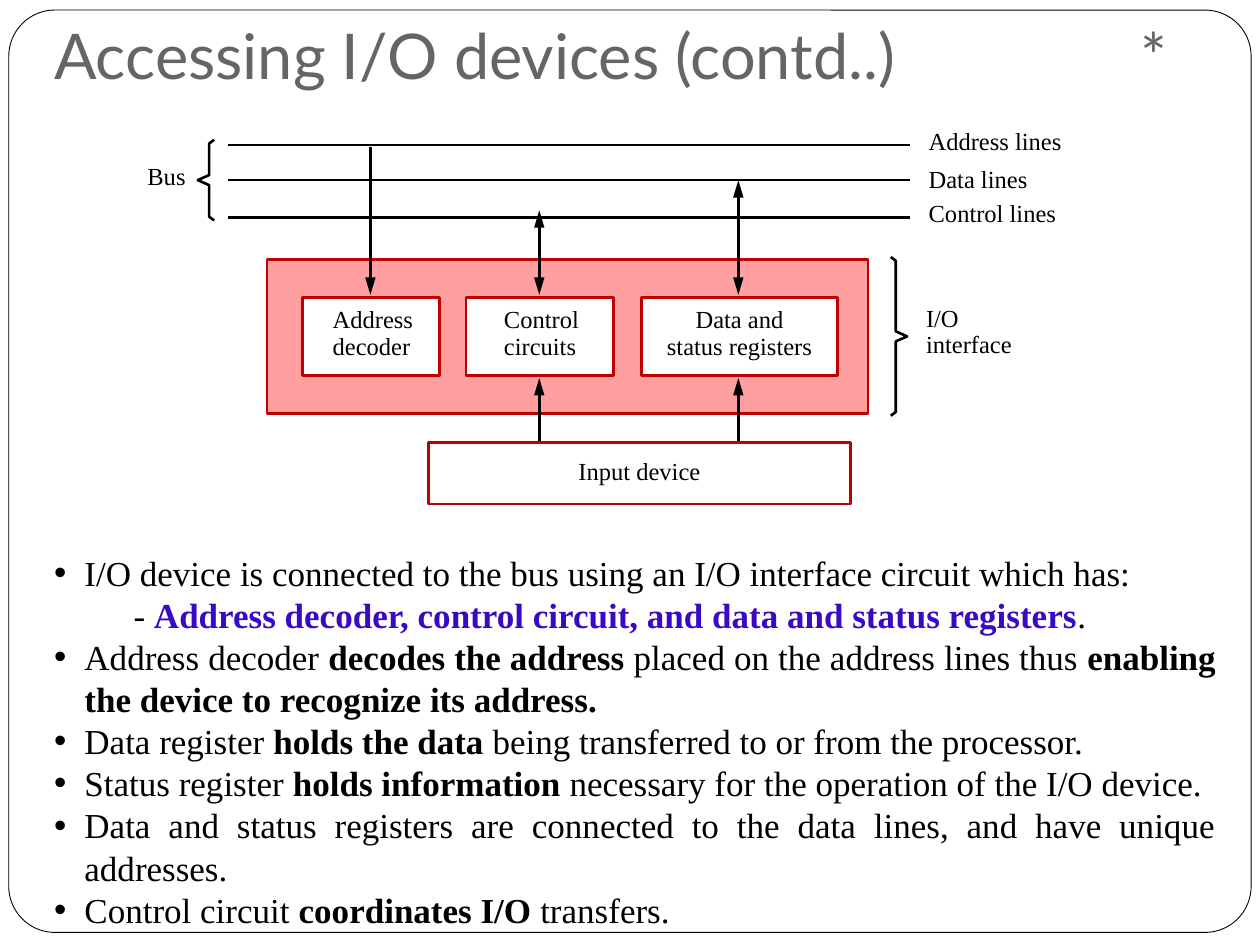
from lxml import etree
from pptx import Presentation
from pptx.dml.color import RGBColor
from pptx.enum import shapes, text
from pptx.oxml import ns
from pptx.util import Inches, Pt

BLACK = RGBColor(0x00, 0x00, 0x00)
WHITE = RGBColor(0xFF, 0xFF, 0xFF)
GRAY = RGBColor(0x69, 0x64, 0x64)
RED = RGBColor(0xC0, 0x00, 0x00)
PINK = RGBColor(0xFF, 0x9F, 0x9F)
VIOLET = RGBColor(0x3A, 0x09, 0xC5)
SERIF = "Times New Roman"
LEFT, CENTER, JUSTIFY = (text.PP_ALIGN.LEFT, text.PP_ALIGN.CENTER,
                         text.PP_ALIGN.JUSTIFY)

# Content: a run is plain text or (text, format)
BOLD = {"bold": True}
TITLE = "Accessing I/O devices (contd..)\t*"
POINTS = [  # (bulleted, runs)
    (True, ["I/O device is connected to the bus using an I/O interface circuit which has:"]),
    (False, ["- ", ("Address decoder, control circuit, and data and status registers",
                    {"bold": True, "color": VIOLET}), "."]),
    (True, ["Address decoder ", ("decodes the address ", BOLD),
            "placed on the address lines thus ",
            ("enabling the device to recognize its address.", BOLD)]),
    (True, ["Data register ", ("holds the data ", BOLD),
            "being transferred to or from the processor."]),
    (True, ["Status register ", ("holds information ", BOLD),
            "necessary for the operation of the I/O device."]),
    (True, ["Data and status registers are connected to the data lines, "
            "and have unique addresses."]),
    (True, ["Control circuit ", ("coordinates I/O ", BOLD), "transfers."]),
]

# Diagram, in inches
BUS_LEFT, BUS_RIGHT = 1.81, 7.22
BUS_Y = [1.15, 1.43, 1.725]
INTERFACE = (2.12, 2.06, 4.77, 1.22)
BLOCK_TOP, BLOCK_HEIGHT = 2.36, 0.62
BLOCKS = [  # left, width, lines, alignment, left inset
    (2.4, 1.09, ["Address", "decoder"], LEFT, 0.24),
    (3.7, 1.17, ["Control", "circuits"], LEFT, 0.3),
    (5.09, 1.56, ["Data and", "status registers"], CENTER, 0),
]
INPUT_DEVICE = (3.4, 3.51, 3.35, 0.49)
ARROWS = [  # x, start, end, both ends
    (2.94, 1.17, 2.34, False),
    (4.28, 1.67, 2.34, True),
    (5.86, 1.43, 2.34, True),
    (4.28, 3.52, 3.0, False),
    (5.86, 3.52, 3.0, False),
]
BRACES = [  # tail x, spine x, tip x, top, bottom
    (1.7, 1.66, 1.57, 1.11, 1.75),
    (7.07, 7.11, 7.2, 2.04, 3.3),
]
LABELS = [  # left, top, width, lines
    (1.17, 1.28, 0.3, ["Bus"]),
    (7.37, 1.0, 1.06, ["Address lines"]),
    (7.37, 1.3, 0.79, ["Data lines"]),
    (7.37, 1.57, 1.01, ["Control lines"]),
    (7.35, 2.43, 0.67, ["I/O", "interface"]),
]


def add_xml(parent, tag, **attributes):
    return etree.SubElement(parent, ns.qn(tag), attributes)


def write(frame, paragraphs, font=SERIF, size=14, color=BLACK, align=LEFT,
          anchor=text.MSO_ANCHOR.TOP, insets=(0, 0, 0, 0), spacing=None, wrap=True):
    frame.word_wrap = wrap
    frame.auto_size = text.MSO_AUTO_SIZE.NONE
    frame.vertical_anchor = anchor
    (frame.margin_left, frame.margin_top,
     frame.margin_right, frame.margin_bottom) = map(Inches, insets)
    for i, runs in enumerate(paragraphs):
        paragraph = frame.add_paragraph() if i else frame.paragraphs[0]
        paragraph.alignment = align
        paragraph.space_before = Pt(0)
        if spacing:
            paragraph.line_spacing = Pt(spacing)
        for item in [runs] if isinstance(runs, str) else runs:
            words, style = (item, {}) if isinstance(item, str) else item
            run = paragraph.add_run()
            run.text = words
            run.font.name, run.font.size = font, Pt(size)
            run.font.bold = style.get("bold", False)
            run.font.color.rgb = style.get("color", color)


def add_box(box, fill, line, width, kind=shapes.MSO_SHAPE.RECTANGLE):
    shape = slide.shapes.add_shape(kind, *map(Inches, box))
    shape.shadow.inherit = False
    shape.fill.solid()
    shape.fill.fore_color.rgb = fill
    shape.line.color.rgb = line
    shape.line.width = Pt(width)
    return shape


def add_line(x1, y1, x2, y2, heads=()):
    line = slide.shapes.add_connector(shapes.MSO_CONNECTOR.STRAIGHT,
                                      *map(Inches, (x1, y1, x2, y2)))
    line.line.color.rgb = BLACK
    line.line.width = Pt(1.5)
    outline = line.line._get_or_add_ln()
    for end in heads:
        add_xml(outline, end, type="triangle", w="med", len="lg")
    add_xml(line.element.spPr, "a:effectLst")


def add_brace(tail, spine, tip, top, bottom):
    middle = (top + bottom) / 2
    points = [(tail, top), (spine, top + 0.03), (spine, middle - 0.04), (tip, middle),
              (spine, middle + 0.04), (spine, bottom - 0.03), (tail, bottom)]
    start, *rest = [(Inches(x), Inches(y)) for x, y in points]
    builder = slide.shapes.build_freeform(*start)
    builder.add_line_segments(rest, close=False)
    brace = builder.convert_to_shape()
    brace.shadow.inherit = False
    brace.fill.background()
    brace.line.color.rgb = BLACK
    brace.line.width = Pt(1.5)


def place(shape, box):
    shape.left, shape.top, shape.width, shape.height = map(Inches, box)


prs = Presentation()
prs.slide_width, prs.slide_height = Inches(10), Inches(7.5)
slide = prs.slides.add_slide(prs.slide_layouts[1])
title, body = slide.shapes.title, slide.placeholders[1]

# Rounded frame behind everything
frame = add_box((0.07, 0.08, 9.86, 7.32), WHITE, BLACK, 0.5,
                shapes.MSO_SHAPE.ROUNDED_RECTANGLE)
frame.adjustments[0] = 0.05
title.element.addprevious(frame.element)

# Title, with the asterisk on a tab stop
place(title, (0.33, 0.25, 9.08, 0.58))
write(title.text_frame, [TITLE], font="Lato", size=36, color=GRAY,
      anchor=text.MSO_ANCHOR.BOTTOM, insets=(0.1, 0.05, 0.1, 0.1))
tabs = add_xml(title.text_frame.paragraphs[0]._p.get_or_add_pPr(), "a:tabLst")
add_xml(tabs, "a:tab", pos=str(Inches(8.62)), algn="l")

# Interface panel, bus and arrows
add_box(INTERFACE, PINK, RED, 1.5)
for y in BUS_Y:
    add_line(BUS_LEFT, y, BUS_RIGHT, y)
for x, start, end, both in ARROWS:
    add_line(x, start, x, end, ("a:headEnd", "a:tailEnd") if both else ("a:tailEnd",))
for brace in BRACES:
    add_brace(*brace)

# Blocks and labels
for left, width, lines, align, inset in BLOCKS:
    block = add_box((left, BLOCK_TOP, width, BLOCK_HEIGHT), WHITE, RED, 1.5)
    write(block.text_frame, lines, align=align, spacing=15,
          anchor=text.MSO_ANCHOR.MIDDLE, insets=(inset, 0, 0, 0.04))
device = add_box(INPUT_DEVICE, WHITE, RED, 1.5)
write(device.text_frame, ["Input device"], align=CENTER,
      anchor=text.MSO_ANCHOR.MIDDLE, insets=(0, 0, 0, 0.04))
for left, top, width, lines in LABELS:
    label = slide.shapes.add_textbox(*map(Inches, (left, top, width, 0.23 * len(lines))))
    write(label.text_frame, lines, spacing=15 if len(lines) > 1 else None, wrap=False)

# Bullet list
place(body, (0.33, 4.33, 9.42, 3.1))
write(body.text_frame, [runs for _, runs in POINTS], size=20, align=JUSTIFY,
      insets=(0.1, 0.05, 0.1, 0.05), spacing=24)
for (bulleted, _), paragraph in zip(POINTS, body.text_frame.paragraphs):
    props = paragraph._p.get_or_add_pPr()
    props.set("marL", str(Inches(0.24 if bulleted else 0.63)))
    props.set("indent", str(Inches(-0.24 if bulleted else 0)))
    if bulleted:
        add_xml(add_xml(props, "a:buClr"), "a:srgbClr", val=str(BLACK))
        add_xml(props, "a:buChar", char="•")
    else:
        add_xml(props, "a:buNone")

prs.save("out.pptx")
